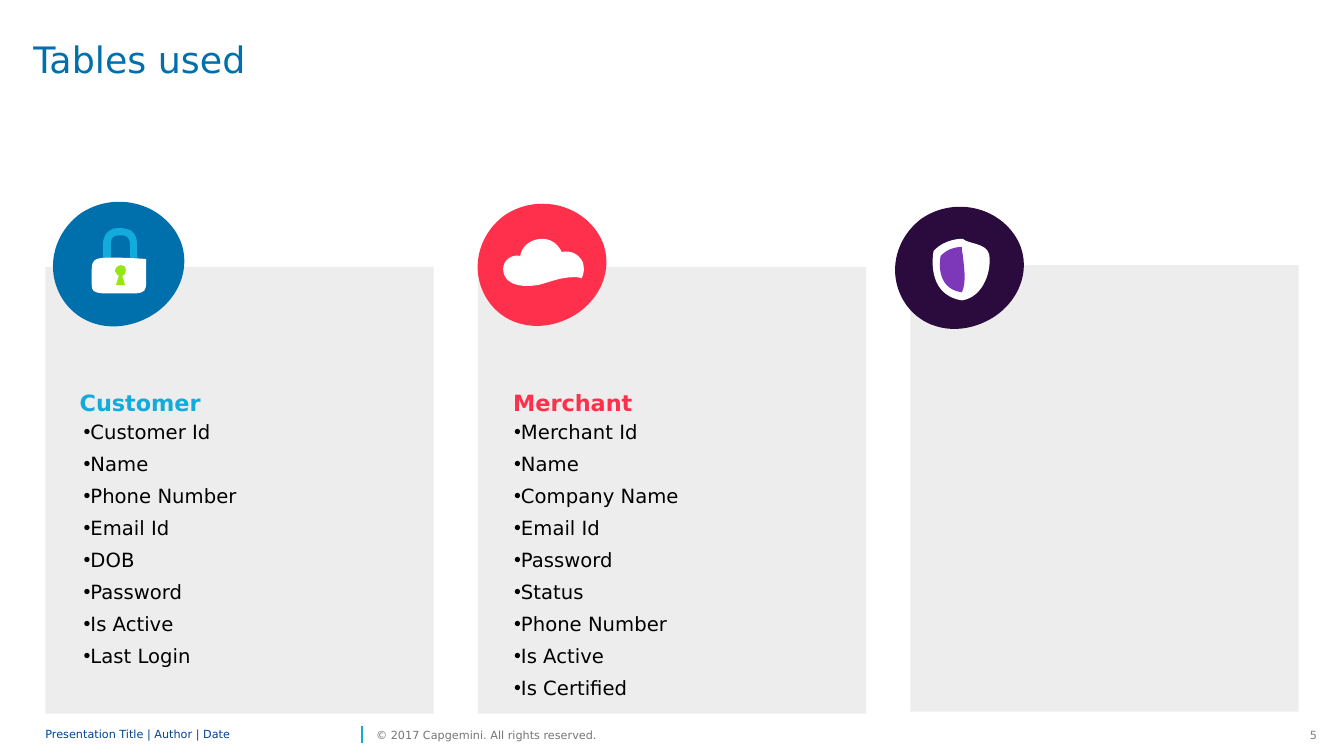
from dataclasses import dataclass

from lxml import etree
from pptx import Presentation
from pptx import util as u
from pptx.dml.color import RGBColor
from pptx.enum import shapes, text
from pptx.oxml.ns import qn

FONT = "DejaVu Sans"
COLORS = {
    "panel": "EDEDED", "white": "FFFFFF", "black": "000000",
    "title": "0070AD", "sky": "12ABDB", "red": "FF304C",
    "plum": "2B0A3D", "violet": "7D38BA", "lime": "95E616",
    "footer": "00458D", "copyright": "767676", "number": "808080",
}


@dataclass(frozen=True)
class Label:
    lines: tuple[str, ...]
    box: tuple[float, float, float, float]
    size: float
    color: str
    bold: bool = False
    bullet: bool = False
    wrap: bool = True
    inset: float = 0
    anchor: text.MSO_ANCHOR = text.MSO_ANCHOR.MIDDLE
    align: text.PP_ALIGN = text.PP_ALIGN.LEFT
    spacing: float | u.Pt | None = None
    after: float = 0


@dataclass(frozen=True)
class Outline:
    color: str
    box: tuple[float, float, float, float]
    start: tuple[float, float]
    segments: tuple[tuple[float, ...], ...]


@dataclass(frozen=True)
class TableCard:
    name: str
    color: str
    heading_left: float
    fields_left: float
    fields: tuple[str, ...]


BLOB = (
    (-.21, -.28, -.14, -.66, .14, -.87),
    (.43, -1.07, .83, -1.01, 1.04, -.74),
    (1.25, -.47, 1.16, -.11, .88, .09),
    (.59, .29, .21, .27, 0, 0),
)


def blob(color: str, left: float, top: float, scale: float = 1) -> Outline:
    offsets = (left, top) * 3
    box = (left - .21 * scale, top - 1.07 * scale, 1.46 * scale, 1.36 * scale)
    return Outline(color, box, (left, top), tuple(
        tuple(offset + scale * value for offset, value in zip(offsets, curve))
        for curve in BLOB))


SHIELD = (
    blob("plum", 9, 3.04),
    Outline("white", (9.17, 2.36, .67, .62), (9.26, 2.49), (
        (9.38, 2.36, 9.55, 2.37, 9.55, 2.37), (9.6, 2.42, 9.78, 2.41, 9.81, 2.52),
        (9.84, 2.67, 9.76, 2.95, 9.54, 2.98), (9.17, 2.92, 9.26, 2.49, 9.26, 2.49))),
    Outline("violet", (9.26, 2.45, .33, .45), (9.55, 2.53), (
        (9.54, 2.49, 9.54, 2.47, 9.54, 2.45), (9.52, 2.45, 9.41, 2.45, 9.33, 2.54),
        (9.33, 2.54, 9.26, 2.86, 9.54, 2.9), (9.59, 2.8, 9.56, 2.64, 9.55, 2.53))),
)
CLOUD = (
    blob("red", 4.86, 3.01),
    Outline("white", (4.99, 2.36, .81, .51), (5.78, 2.6), (
        (5.74, 2.52, 5.66, 2.48, 5.57, 2.5), (5.57, 2.5, 5.52, 2.36, 5.36, 2.37),
        (5.24, 2.38, 5.17, 2.46, 5.16, 2.54), (5.09, 2.52, 4.99, 2.57, 4.99, 2.67),
        (5, 2.87, 5.26, 2.84, 5.32, 2.83), (5.4, 2.82, 5.54, 2.75, 5.69, 2.75),
        (5.72, 2.75, 5.75, 2.75, 5.77, 2.76), (5.79, 2.72, 5.8, 2.66, 5.78, 2.6))),
)
PADLOCK = (
    blob("title", .65, 3.01, 1.02),
    Outline("sky", (1.02, 2.26, .34, .4), (1.1, 2.66), (
        (1.02, 2.66), (1.02, 2.44), (1.02, 2.41, 1.02, 2.31, 1.12, 2.27),
        (1.16, 2.26, 1.2, 2.26, 1.25, 2.27), (1.32, 2.28, 1.36, 2.34, 1.36, 2.43),
        (1.36, 2.66), (1.29, 2.66), (1.29, 2.43),
        (1.29, 2.38, 1.27, 2.35, 1.24, 2.34), (1.2, 2.33, 1.17, 2.34, 1.14, 2.34),
        (1.11, 2.35, 1.1, 2.37, 1.1, 2.44), (1.1, 2.66))),
    Outline("white", (.91, 2.55, .54, .36), (1.01, 2.91), (
        (1.07, 2.91, 1.31, 2.91, 1.36, 2.91), (1.43, 2.9, 1.45, 2.89, 1.45, 2.79),
        (1.45, 2.57), (1.32, 2.56, 1.09, 2.55, 1.01, 2.56),
        (.94, 2.57, .91, 2.58, .91, 2.68), (.91, 2.82),
        (.91, 2.89, .93, 2.9, 1.01, 2.91))),
    Outline("lime", (1.14, 2.63, .11, .11), (1.2, 2.74), (
        (1.23, 2.74, 1.25, 2.71, 1.25, 2.68), (1.25, 2.65, 1.23, 2.63, 1.2, 2.63),
        (1.17, 2.63, 1.14, 2.66, 1.14, 2.69), (1.15, 2.72, 1.17, 2.74, 1.2, 2.74))),
    Outline("lime", (1.15, 2.73, .09, .1), (1.18, 2.73), (
        (1.15, 2.83), (1.24, 2.83), (1.21, 2.73), (1.18, 2.73))),
)
CARDS = (
    TableCard("Customer", "sky", .79, .83, (
        "Customer Id", "Name", "Phone Number", "Email Id", "DOB", "Password",
        "Is Active", "Last Login")),
    TableCard("Merchant", "red", 5.09, 5.1, (
        "Merchant Id", "Name", "Company Name", "Email Id", "Password", "Status",
        "Phone Number", "Is Active", "Is Certified")),
)
TITLE = Label(("Tables used",), (.33, .42, 7.08, .94), 26, "title",
              anchor=text.MSO_ANCHOR.TOP, spacing=.9)
FOOTERS = (
    Label(("5",), (12.89, 7.17, .27, .24), 8, "number", wrap=False, inset=.1,
          align=text.PP_ALIGN.RIGHT),
    Label(("Presentation Title | Author | Date",), (.45, 7.17, 3.09, .24), 8,
          "footer", spacing=.85),
    Label(("© 2017 Capgemini. All rights reserved.",), (3.73, 7.17, 2.43, .24), 8,
          "copyright", wrap=False),
)


def rgb(color: str) -> RGBColor:
    return RGBColor.from_string(COLORS[color])


def apply(target, formats: dict) -> None:
    for attribute, value in formats.items():
        setattr(target, attribute, value)


def paint(shape, color: str) -> None:
    shape.shadow.inherit = False
    shape.fill.solid()
    shape.fill.fore_color.rgb = rgb(color)
    shape.line.fill.background()


def write(shape, label: Label) -> None:
    frame = shape.text_frame
    apply(shape, dict(zip(("left", "top", "width", "height"), map(u.Inches, label.box))))
    apply(frame, {
        "auto_size": text.MSO_AUTO_SIZE.NONE, "word_wrap": label.wrap,
        "vertical_anchor": label.anchor,
        "margin_left": u.Inches(label.inset), "margin_right": u.Inches(label.inset),
        "margin_top": 0, "margin_bottom": 0,
    })
    for index, line in enumerate(label.lines):
        paragraph = frame.add_paragraph() if index else frame.paragraphs[0]
        if label.bullet:
            properties = paragraph._p.get_or_add_pPr()
            etree.SubElement(properties, qn("a:buFont"), typeface="Arial")
            etree.SubElement(properties, qn("a:buChar"), char="•")
        apply(paragraph, {"alignment": label.align, "line_spacing": label.spacing,
                          "space_after": u.Pt(label.after)})
        run = paragraph.add_run()
        run.text = line
        apply(run.font, {"name": FONT, "size": u.Pt(label.size), "bold": label.bold})
        run.font.color.rgb = rgb(label.color)


def add_label(slide, label: Label) -> None:
    write(slide.shapes.add_textbox(*map(u.Inches, label.box)), label)


def add_outline(group, outline: Outline) -> None:
    left, top, width, height = map(u.Inches, outline.box)
    right, bottom = left + width, top + height
    builder = group.shapes.build_freeform(left, top)
    builder.add_line_segments([(right, top), (right, bottom), (left, bottom)])
    shape = builder.convert_to_shape()
    contour = shape._element.find(".//" + qn("a:path"))
    for child in list(contour):
        contour.remove(child)
    for index, values in enumerate((outline.start, *outline.segments)):
        tag = "a:moveTo" if index == 0 else "a:lnTo" if len(values) == 2 else "a:cubicBezTo"
        step = etree.SubElement(contour, qn(tag))
        for x, y in zip(values[::2], values[1::2]):
            etree.SubElement(step, qn("a:pt"), x=str(u.Inches(x) - left),
                             y=str(u.Inches(y) - top))
    paint(shape, outline.color)


def main() -> None:
    deck = Presentation()
    apply(deck, {"slide_width": u.Inches(13.33), "slide_height": u.Inches(7.5)})
    slide = deck.slides.add_slide(deck.slide_layouts[5])
    write(slide.shapes.title, TITLE)
    for column, top in enumerate((2.65, 2.65, 2.63)):
        panel = slide.shapes.add_shape(
            shapes.MSO_SHAPE.RECTANGLE,
            *map(u.Inches, (.45 + 4.29 * column, top, 3.85, 4.43)))
        paint(panel, "panel")
    for footer in FOOTERS:
        add_label(slide, footer)
    divider = slide.shapes.add_connector(
        shapes.MSO_CONNECTOR.STRAIGHT, *map(u.Inches, (3.59, 7.37, 3.59, 7.2)))
    divider.line.color.rgb = rgb("sky")
    divider.line.width = u.Pt(1)
    etree.SubElement(divider._element.spPr, qn("a:effectLst"))
    for card in CARDS:
        add_label(slide, Label((card.name,), (card.heading_left, 3.65, 3.16, .71), 16,
                               card.color, bold=True, spacing=u.Pt(18), after=6))
        add_label(slide, Label(card.fields, (card.fields_left, 4.17, 3.14, 2.75), 14,
                               "black", bullet=True, anchor=text.MSO_ANCHOR.TOP, after=6))
    for outlines in (SHIELD, CLOUD, PADLOCK):
        icon = slide.shapes.add_group_shape()
        for outline in outlines:
            add_outline(icon, outline)
    deck.save("out.pptx")


if __name__ == "__main__":
    main()
